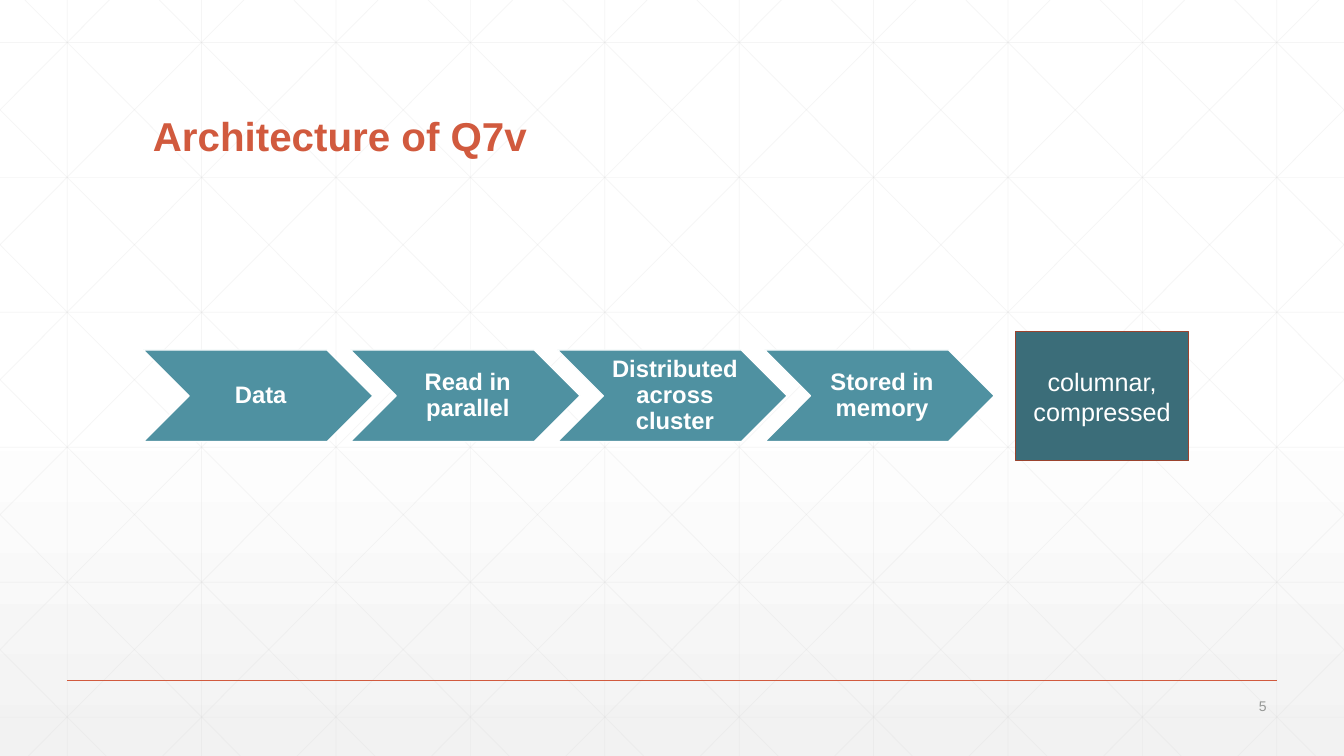
from dataclasses import dataclass

import pptx
import pptx.dml.color
import pptx.enum.shapes
import pptx.enum.text
import pptx.oxml.ns
import pptx.util
from lxml import etree

Cm = pptx.util.Cm
Pt = pptx.util.Pt
RGBColor = pptx.dml.color.RGBColor
MSO_SHAPE = pptx.enum.shapes.MSO_SHAPE
MSO_ANCHOR = pptx.enum.text.MSO_ANCHOR
PP_ALIGN = pptx.enum.text.PP_ALIGN
qn = pptx.oxml.ns.qn

WHITE = RGBColor(0xFF, 0xFF, 0xFF)
PALE = RGBColor(0xF2, 0xF2, 0xF2)
GRID = RGBColor(0xD9, 0xD9, 0xD9)
GREY = RGBColor(0x95, 0x97, 0x95)
ORANGE = RGBColor(0xD1, 0x5A, 0x3E)
RUST = RGBColor(0x9B, 0x43, 0x2E)
TEAL = RGBColor(0x4F, 0x91, 0xA1)
DARK_TEAL = RGBColor(0x3B, 0x6D, 0x79)

FONT = "Arial"
WIDTH, HEIGHT = 33.87, 19.05
CELL_W, CELL_H = WIDTH / 10, 3.4
FIRST_ROW = 1.07
DIAGONAL_START = 0.63
STEPS = ["Data", "Read in parallel", "Distributed across cluster", "Stored in memory"]
STEP_LEFT, STEP_PITCH = 3.61, 5.22


@dataclass
class Line:
    x1: float
    y1: float
    x2: float
    y2: float
    color: RGBColor = GRID
    width: float = 0.5
    opacity: int = 25


@dataclass
class Block:
    text: str
    left: float
    top: float = 8.82
    width: float = 5.79
    height: float = 2.31
    preset: MSO_SHAPE = MSO_SHAPE.CHEVRON
    fill: RGBColor = TEAL
    outline: RGBColor = WHITE
    size: float = 17
    bold: bool = True
    spacing: float = 0.9
    inset_left: float = 0.18
    inset: float = 0.05


def set_opacity(color, percent: int) -> None:
    etree.SubElement(color, qn("a:alpha"), val=str(percent * 1000))


def set_background(slide) -> None:
    fill = slide.background.fill
    fill.gradient()
    fill.gradient_angle = 270
    stops = slide._element.find(".//" + qn("a:gsLst"))
    for gs in list(stops):
        stops.remove(gs)
    for position, rgb, opacity in [(0, WHITE, 100), (53, WHITE, 100), (100, PALE, 65)]:
        gs = etree.SubElement(stops, qn("a:gs"), pos=str(position * 1000))
        color = etree.SubElement(gs, qn("a:srgbClr"), val=str(rgb))
        if opacity < 100:
            set_opacity(color, opacity)


def grid_lines() -> list[Line]:
    columns = [CELL_W * (i + 0.5) for i in range(10)]
    rows = [FIRST_ROW + CELL_H * i for i in range(6)]
    lines = [Line(x, 0, x, HEIGHT) for x in columns]
    lines += [Line(0, y, WIDTH, y) for y in rows]
    slope = CELL_H / CELL_W
    for i in range(-5, 10):
        x = DIAGONAL_START + CELL_W * i
        x1, x2 = max(0, x), min(WIDTH, x + HEIGHT / slope)
        y1, y2 = (x1 - x) * slope, (x2 - x) * slope
        lines += [Line(x1, y1, x2, y2), Line(WIDTH - x1, y1, WIDTH - x2, y2)]
    return lines


def draw_line(shapes, line: Line) -> None:
    cn = shapes.add_connector(
        pptx.enum.shapes.MSO_CONNECTOR.STRAIGHT,
        Cm(line.x1), Cm(line.y1), Cm(line.x2), Cm(line.y2),
    )
    cn.line.color.rgb = line.color
    cn.line.width = Pt(line.width)
    sp_pr = cn._element.spPr
    if line.opacity < 100:
        set_opacity(sp_pr.find(".//" + qn("a:srgbClr")), line.opacity)
    etree.SubElement(sp_pr, qn("a:effectLst"))


def write(sp, text: str, size: float, color: RGBColor, align: PP_ALIGN,
          anchor: MSO_ANCHOR = MSO_ANCHOR.MIDDLE, bold: bool = False,
          spacing: float = 1.0) -> None:
    tf = sp.text_frame
    tf.text = text
    tf.word_wrap = True
    tf.auto_size = pptx.enum.text.MSO_AUTO_SIZE.NONE
    tf.vertical_anchor = anchor
    p = tf.paragraphs[0]
    p.alignment = align
    p.line_spacing = spacing
    r = p.runs[0]
    r.font.name = FONT
    r.font.size = Pt(size)
    r.font.bold = bold
    r.font.color.rgb = color


def draw_block(shapes, block: Block) -> None:
    sp = shapes.add_shape(block.preset, Cm(block.left), Cm(block.top),
                          Cm(block.width), Cm(block.height))
    sp.shadow.inherit = False
    sp.fill.solid()
    sp.fill.fore_color.rgb = block.fill
    sp.line.color.rgb = block.outline
    sp.line.width = Pt(1)
    write(sp, block.text, block.size, WHITE, PP_ALIGN.CENTER,
          bold=block.bold, spacing=block.spacing)
    tf = sp.text_frame
    tf.margin_left = Cm(block.inset_left)
    tf.margin_top = tf.margin_right = tf.margin_bottom = Cm(block.inset)


def main() -> None:
    prs = pptx.Presentation()
    prs.slide_width, prs.slide_height = Cm(WIDTH), Cm(HEIGHT)
    s = prs.slides.add_slide(prs.slide_layouts[5])
    set_background(s)

    grid = s.shapes.add_group_shape()
    for line in grid_lines():
        draw_line(grid.shapes, line)
    draw_line(s.shapes, Line(1.69, 17.15, 32.18, 17.15, ORANGE, 1, 100))

    title = s.shapes.title
    title.left, title.top, title.width, title.height = Cm(3.6), Cm(2.77), Cm(26.67), Cm(1.4)
    write(title, "Architecture of Q7v", 28.8, ORANGE, PP_ALIGN.LEFT,
          MSO_ANCHOR.BOTTOM, bold=True, spacing=0.9)
    s.shapes._spTree.append(title._element)

    number = s.shapes.add_textbox(Cm(29.63), Cm(17.48), Cm(2.54), Cm(0.61))
    write(number, "5", 10, GREY, PP_ALIGN.RIGHT)

    blocks = [Block(text, STEP_LEFT + STEP_PITCH * i) for i, text in enumerate(STEPS)]
    blocks.append(Block("columnar, compressed", 25.59, 8.36, 4.37, 3.25,
                        MSO_SHAPE.RECTANGLE, DARK_TEAL, RUST, 18, False, 1.0, 0.25, 0.25))
    for block in blocks:
        draw_block(s.shapes, block)

    prs.save("out.pptx")


if __name__ == "__main__":
    main()
